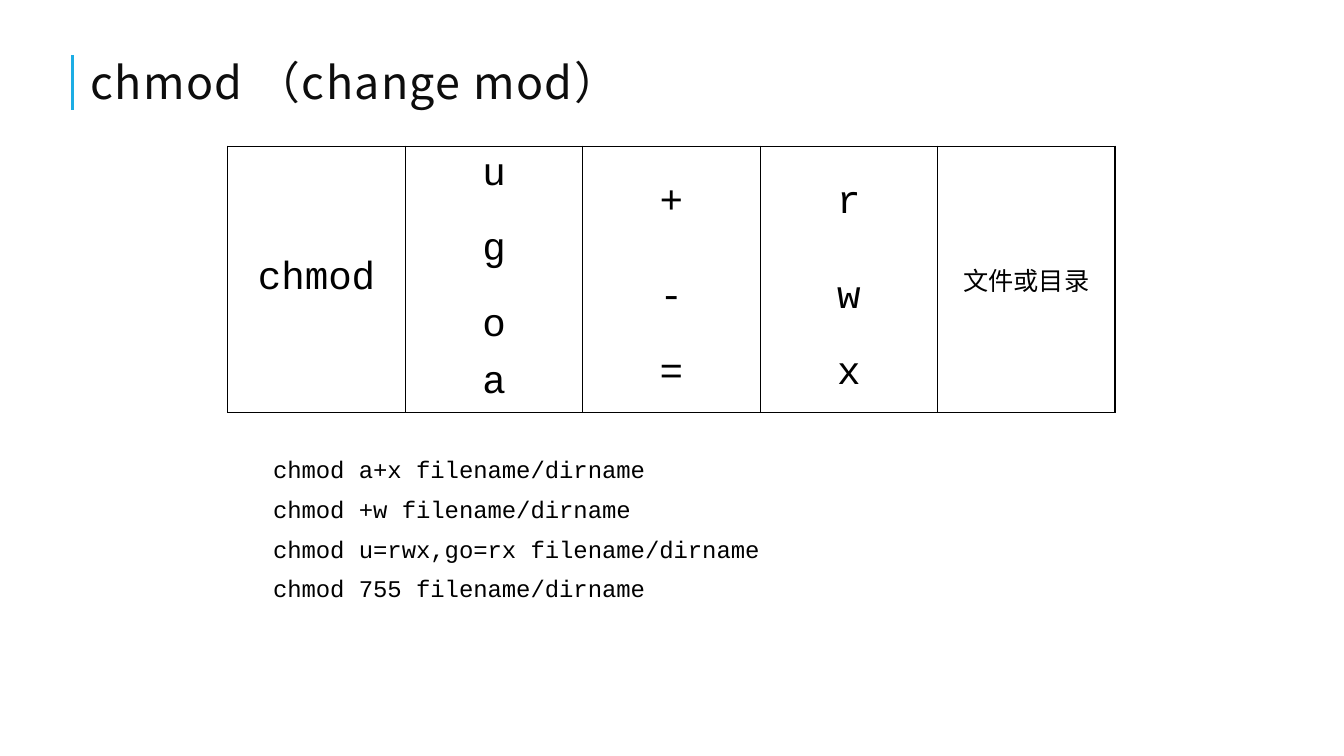
"""Build a slide that explains the syntax of the chmod command."""
import dataclasses

import lxml.etree
import pptx
import pptx.dml.color
import pptx.enum.shapes
import pptx.enum.text
import pptx.oxml
import pptx.oxml.ns
import pptx.util

Inches = pptx.util.Inches
qn = pptx.oxml.ns.qn
MONO = "Courier New"
SANS = "Noto Sans CJK SC"
BLACK = "000000"
ACCENT = "1CADE4"
COLUMN_WIDTH = 1.76
ROW_HEIGHTS = (0.55, 0.18, 0.37, 0.37, 0.18, 0.55)
EXAMPLES = (
    "chmod a+x filename/dirname",
    "chmod +w filename/dirname",
    "chmod u=rwx,go=rx filename/dirname",
    "chmod 755 filename/dirname",
)


@dataclasses.dataclass(frozen=True)
class Style:
    font: str
    size: float
    color: str = BLACK


@dataclasses.dataclass(frozen=True)
class Column:
    texts: tuple[str, ...]
    spans: tuple[int, ...]
    style: Style = Style(MONO, 28)


COLUMNS = (
    Column(("chmod",), (6,)),
    Column(("u", "g", "o", "a"), (1, 2, 2, 1)),
    Column(("+", "-", "="), (2, 2, 2)),
    Column(("r", "w", "x"), (2, 2, 2)),
    Column(("文件或目录",), (6,), Style(SANS, 18)),
)


def rgb(color: str) -> pptx.dml.color.RGBColor:
    """Turn a hex string into a colour."""
    return pptx.dml.color.RGBColor.from_string(color)


def format_runs(para, style: Style, spacing: float = 0) -> None:
    """Apply font, size, colour and letter spacing to a paragraph."""
    for span in para.runs:
        span.font.name = style.font
        span.font.size = pptx.util.Pt(style.size)
        span.font.color.rgb = rgb(style.color)
        properties = span._r.get_or_add_rPr()
        east_asian = lxml.etree.SubElement(properties, qn("a:ea"))
        east_asian.set("typeface", style.font)
        if spacing:
            properties.set("spc", str(int(spacing * 100)))


def add_box(page, left: float, top: float, width: float, height: float):
    """Add a wrapping text box and return its text frame."""
    box = page.shapes.add_textbox(Inches(left), Inches(top), Inches(width), Inches(height))
    box.text_frame.word_wrap = True
    return box.text_frame


def add_title(page) -> None:
    """Add the title and the accent line beside it."""
    frame = add_box(page, 0.8, 0.51, 5.93, 0.69)
    frame.vertical_anchor = pptx.enum.text.MSO_ANCHOR.MIDDLE
    frame.text = "chmod （change mod）"
    para = frame.paragraphs[0]
    para.line_spacing = 0.8
    format_runs(para, Style(SANS, 32, "0D0D0D"), spacing=1)
    rule = page.shapes.add_connector(
        pptx.enum.shapes.MSO_CONNECTOR.STRAIGHT,
        Inches(0.72), Inches(0.55), Inches(0.72), Inches(1.09),
    )
    rule.line.color.rgb = rgb(ACCENT)
    rule.line.width = pptx.util.Pt(2.25)
    lxml.etree.SubElement(rule._element.spPr, qn("a:effectLst"))


def add_examples(page) -> None:
    """Add the example commands with blank hanging bullets."""
    frame = add_box(page, 2.54, 4.54, 7.87, 1.52)
    frame.margin_left = frame.margin_right = Inches(0.05)
    frame.margin_top = frame.margin_bottom = Inches(0.05)
    frame.text = "\n".join(EXAMPLES)
    for para in frame.paragraphs:
        para.line_spacing = 0.7
        para.space_before = pptx.util.Pt(12)
        para.space_after = pptx.util.Pt(2)
        properties = para._p.get_or_add_pPr()
        properties.set("marL", str(Inches(0.1)))
        properties.set("indent", str(Inches(-0.1)))
        bullet_color = lxml.etree.SubElement(properties, qn("a:buClr"))
        lxml.etree.SubElement(bullet_color, qn("a:srgbClr")).set("val", ACCENT)
        lxml.etree.SubElement(properties, qn("a:buChar")).set("char", " ")
        format_runs(para, Style(MONO, 17.1))


def set_borders(cell, top: bool, bottom: bool) -> None:
    """Draw the side borders of a cell, and its top and bottom on request."""
    cell.fill.background()
    properties = cell._tc.get_or_add_tcPr()
    sides = (("a:lnL", True), ("a:lnR", True), ("a:lnT", top), ("a:lnB", bottom))
    for index, (tag, visible) in enumerate(sides):
        line = properties.makeelement(qn(tag), {"w": str(pptx.util.Pt(1))})
        if visible:
            fill = lxml.etree.SubElement(line, qn("a:solidFill"))
            lxml.etree.SubElement(fill, qn("a:srgbClr")).set("val", BLACK)
        else:
            lxml.etree.SubElement(line, qn("a:noFill"))
        properties.insert(index, line)


def fill_column(table, index: int, column: Column) -> None:
    """Merge, border and fill the cells of one column."""
    first = 0
    for text, span in zip(column.texts, column.spans):
        end = first + span
        for row in range(first, end):
            set_borders(table.cell(row, index), first == 0, end == len(ROW_HEIGHTS))
        cell = table.cell(first, index)
        if span > 1:
            cell.merge(table.cell(end - 1, index))
        cell.text_frame.text = text
        cell.vertical_anchor = pptx.enum.text.MSO_ANCHOR.MIDDLE
        para = cell.text_frame.paragraphs[0]
        para.alignment = pptx.enum.text.PP_ALIGN.CENTER
        format_runs(para, column.style)
        first = end


def add_syntax_table(page) -> None:
    """Add the table of chmod operands."""
    table = page.shapes.add_table(
        len(ROW_HEIGHTS), len(COLUMNS), Inches(2.26), Inches(1.45),
        Inches(COLUMN_WIDTH * len(COLUMNS)), Inches(sum(ROW_HEIGHTS)),
    ).table
    table.first_row = table.horz_banding = False
    for row, height in zip(table.rows, ROW_HEIGHTS):
        row.height = Inches(height)
    for index, column in enumerate(COLUMNS):
        table.columns[index].width = Inches(COLUMN_WIDTH)
        fill_column(table, index, column)


def main() -> None:
    """Build and save the deck."""
    deck = pptx.Presentation()
    deck.slide_width, deck.slide_height = Inches(13.33), Inches(7.5)
    page = deck.slides.add_slide(deck.slide_layouts[6])
    add_title(page)
    add_examples(page)
    add_syntax_table(page)
    deck.save("out.pptx")


if __name__ == "__main__":
    main()
